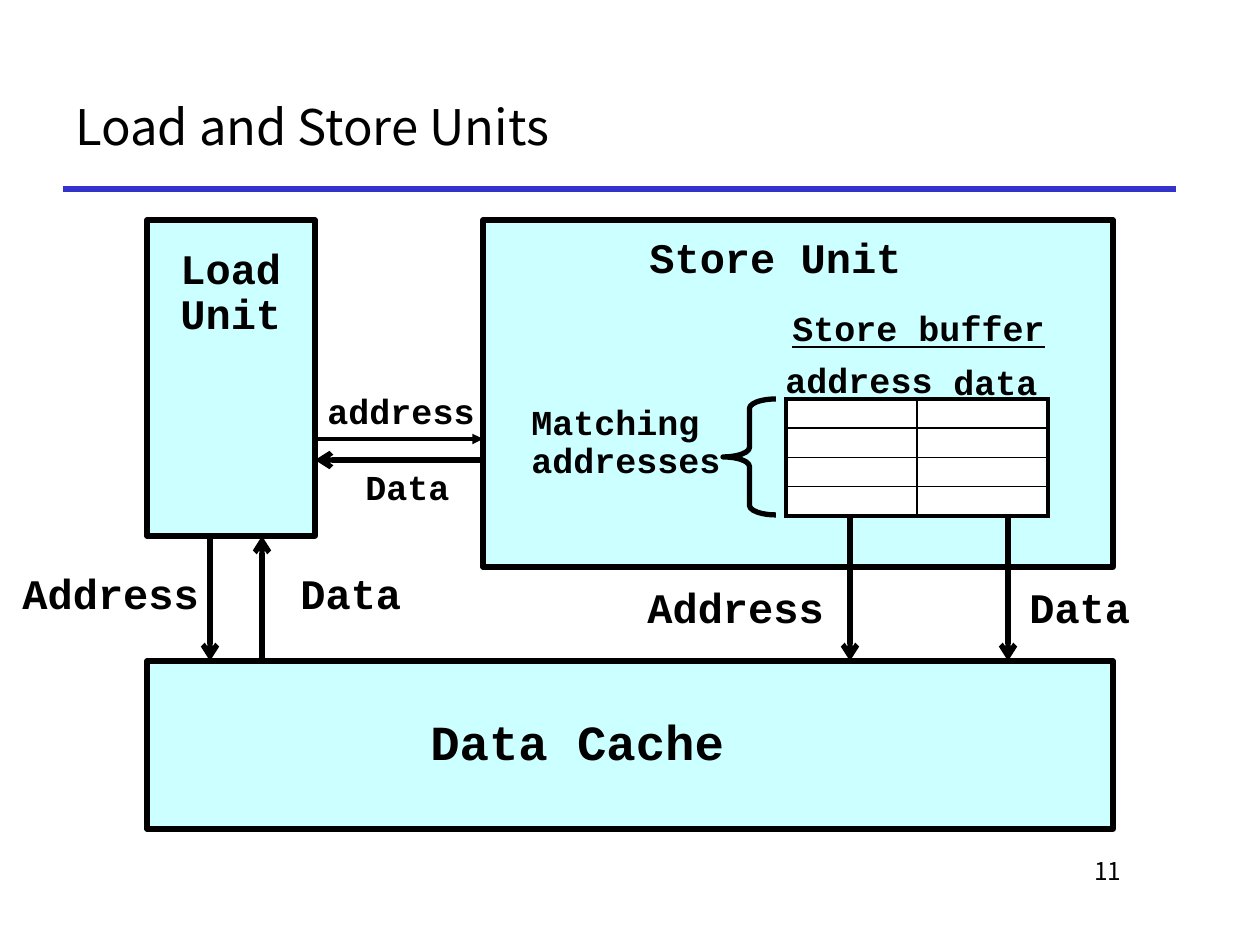
from lxml import etree
from pptx import Presentation
from pptx.dml.color import RGBColor
from pptx.enum.shapes import MSO_CONNECTOR, MSO_SHAPE
from pptx.enum.text import MSO_ANCHOR, MSO_AUTO_SIZE, PP_ALIGN
from pptx.oxml.ns import qn
from pptx.util import Emu, Pt

LINE = MSO_CONNECTOR.STRAIGHT
RECT, BRACE = MSO_SHAPE.RECTANGLE, MSO_SHAPE.LEFT_BRACE
TOP, MIDDLE = MSO_ANCHOR.TOP, MSO_ANCHOR.MIDDLE
LEFT, RIGHT = PP_ALIGN.LEFT, PP_ALIGN.RIGHT
FIT = MSO_AUTO_SIZE.SHAPE_TO_FIT_TEXT
PX = 914400 / 126
HANG = round(0.38 * 914400)
SANS, MONO = "Noto Sans CJK KR", "Courier New"
COLORS = {name: RGBColor.from_string(code) for name, code in {
    "ink": "000000", "rule": "3333CC", "unit": "CCFFFF", "cell": "FFFFFF"}.items()}


def write(text, box, size, font=MONO, align=LEFT, anchor=TOP, under=None):
    shape = slide.shapes.add_textbox(*[Emu(round(v * PX)) for v in box])
    frame = shape.text_frame
    label = font == MONO
    frame.word_wrap = not label
    frame.vertical_anchor = anchor
    frame.text = text
    if label:
        frame.auto_size = FIT
    for para in frame.paragraphs:
        para.alignment = align
        if label:
            para.line_spacing = 0.9
            props = para._p.get_or_add_pPr()
            props.set("marL", str(HANG))
            props.set("indent", str(-HANG))
        para.font.name = font
        para.font.size = Pt(size)
        para.font.bold = label
        para.font.underline = under
        para.font.color.rgb = COLORS["ink"]


def draw(ends, color="ink", width=3, head=None):
    line = slide.shapes.add_connector(LINE, *[Emu(round(v * PX)) for v in ends])
    line.line.color.rgb = COLORS[color]
    line.line.width = Pt(width)
    if head:
        etree.SubElement(line.line._get_or_add_ln(), qn("a:tailEnd"), type=head)
    etree.SubElement(line._element.spPr, qn("a:effectLst"))


deck = Presentation()
deck.slide_width, deck.slide_height = Emu(round(1260 * PX)), Emu(round(945 * PX))
slide = deck.slides.add_slide(deck.slide_layouts[6])

# Title, rule and page number
draw((63, 189, 1176, 189), "rule")
write("11", (955, 850, 179, 63), 14, SANS, RIGHT)
write("Load and Store Units", (63, 63, 1113, 126), 28, SANS, anchor=MIDDLE)

# Units, cache and the brace beside the buffer
for kind, box in [
    (RECT, (147, 220, 168, 316)),
    (RECT, (483, 220, 630, 347)),
    (RECT, (147, 661, 966, 168)),
    (BRACE, (723, 399, 53, 116)),
]:
    shape = slide.shapes.add_shape(kind, *[Emu(round(v * PX)) for v in box])
    shape.shadow.inherit = False
    shape.line.color.rgb = COLORS["ink"]
    shape.line.width = Pt(3)
    if kind == BRACE:
        shape.fill.background()
        shape.adjustments[0] = 0.18
    else:
        shape.fill.solid()
        shape.fill.fore_color.rgb = COLORS["unit"]

# Store buffer table
ROWS, COLS = 4, 2
grid = slide.shapes.add_table(
    ROWS, COLS, *[Emu(round(v * PX)) for v in (786, 399, 262, 117)]).table
for col in grid.columns:
    col.width = Emu(round(131 * PX))
for r, row in enumerate(grid.rows):
    row.height = Emu(round(117 / ROWS * PX))
    for c, cell in enumerate(row.cells):
        cell.margin_left = cell.margin_right = 0
        cell.margin_top = cell.margin_bottom = 0
        props = cell._tc.get_or_add_tcPr()
        for side, outer in [("L", c == 0), ("R", c == COLS - 1),
                            ("T", r == 0), ("B", r == ROWS - 1)]:
            edge = etree.SubElement(props, qn("a:ln" + side),
                                    w=str(Pt(2.25 if outer else 1)))
            fill = etree.SubElement(edge, qn("a:solidFill"))
            etree.SubElement(fill, qn("a:srgbClr"), val=str(COLORS["ink"]))
        cell.fill.solid()
        cell.fill.fore_color.rgb = COLORS["cell"]
        # Small type keeps the empty rows low
        para = cell.text_frame.paragraphs[0]
        etree.SubElement(para._p, qn("a:endParaRPr"), sz="800")

# Labels
for text, box, size in [
    ("Load\nUnit", (168, 242, 126, 103), 24),
    ("Store Unit", (637, 231, 280, 59), 24),
    ("Data Cache", (418, 712, 319, 65), 28),
    ("Address", (10, 567, 203, 58), 24),
    ("Data", (288, 567, 127, 59), 24),
    ("Address", (635, 581, 203, 59), 24),
    ("Data", (1017, 581, 127, 59), 24),
    ("address", (773, 357, 173, 50), 20),
    ("data", (941, 359, 110, 50), 20),
    ("Matching\naddresses", (519, 399, 217, 91), 20),
    ("address", (315, 388, 173, 50), 20),
    ("Data", (353, 464, 110, 50), 20),
]:
    write(text, box, size)
write("Store buffer", (780, 305, 280, 52), 20, under=True)

# Arrows between the parts
for ends in [
    (210, 536, 210, 661),
    (262, 661, 262, 536),
    (482, 460, 315, 460),
    (850, 515, 850, 661),
    (1008, 515, 1008, 661),
]:
    draw(ends, head="arrow")
draw((315, 439, 483, 439), width=2, head="triangle")

deck.save("out.pptx")
